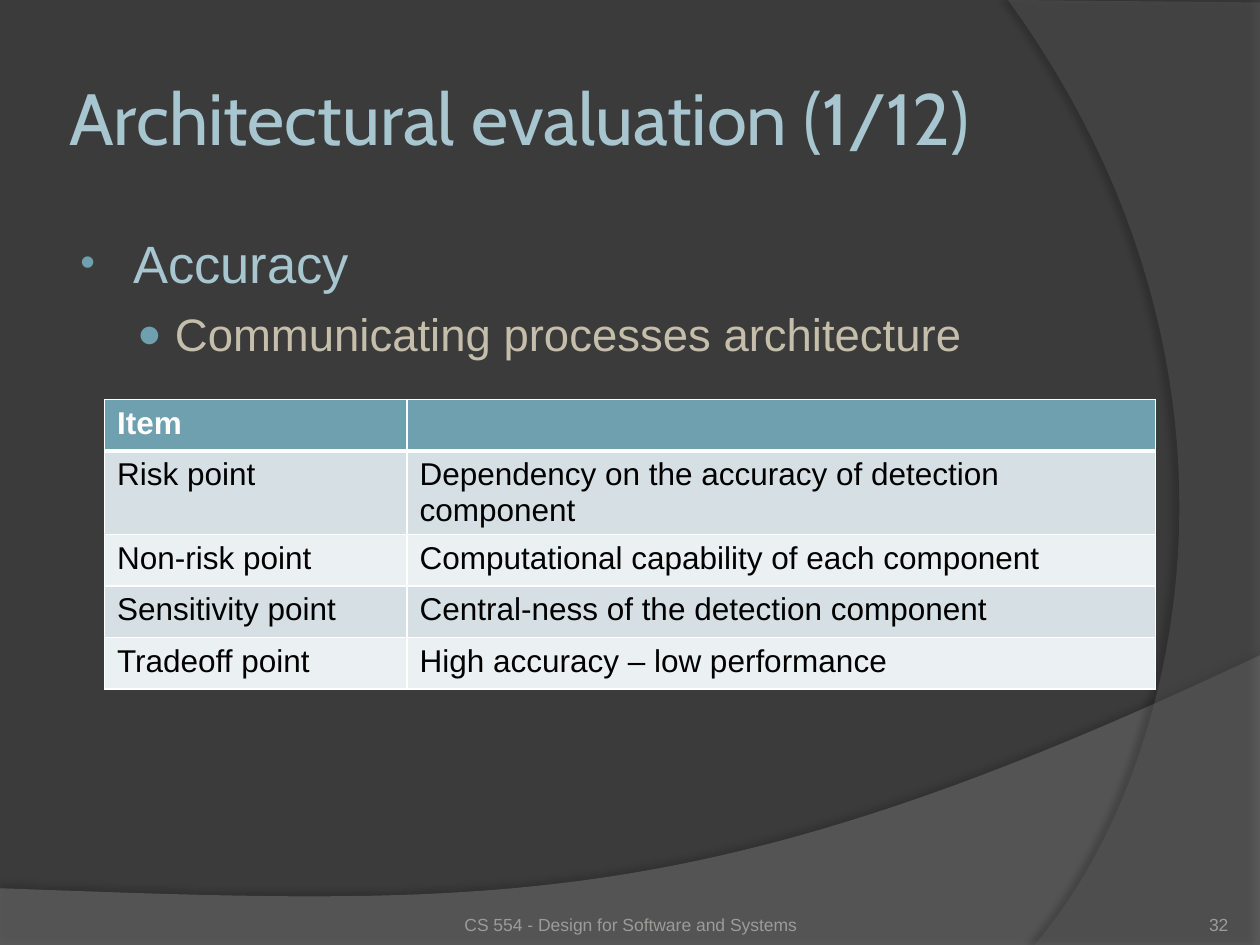
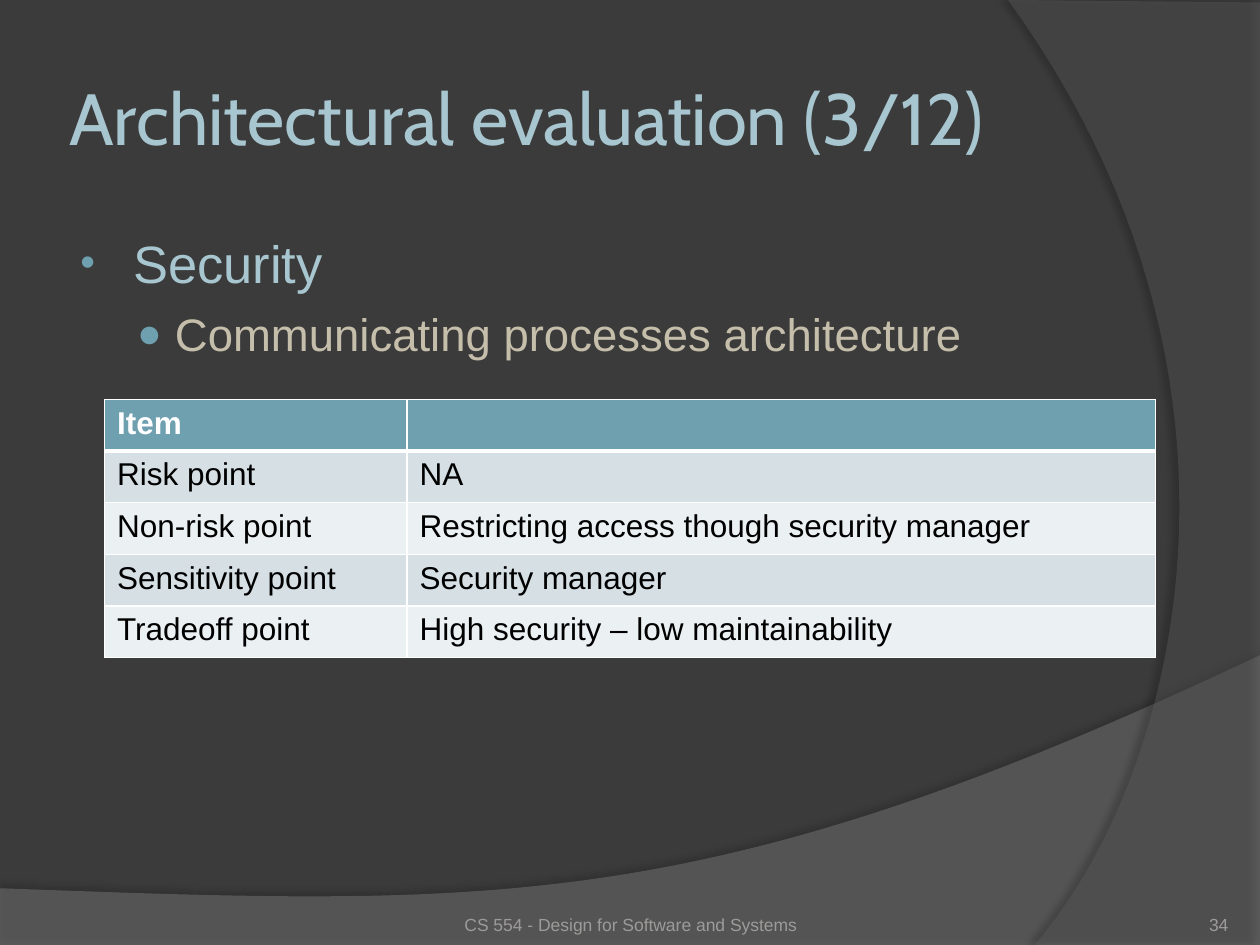
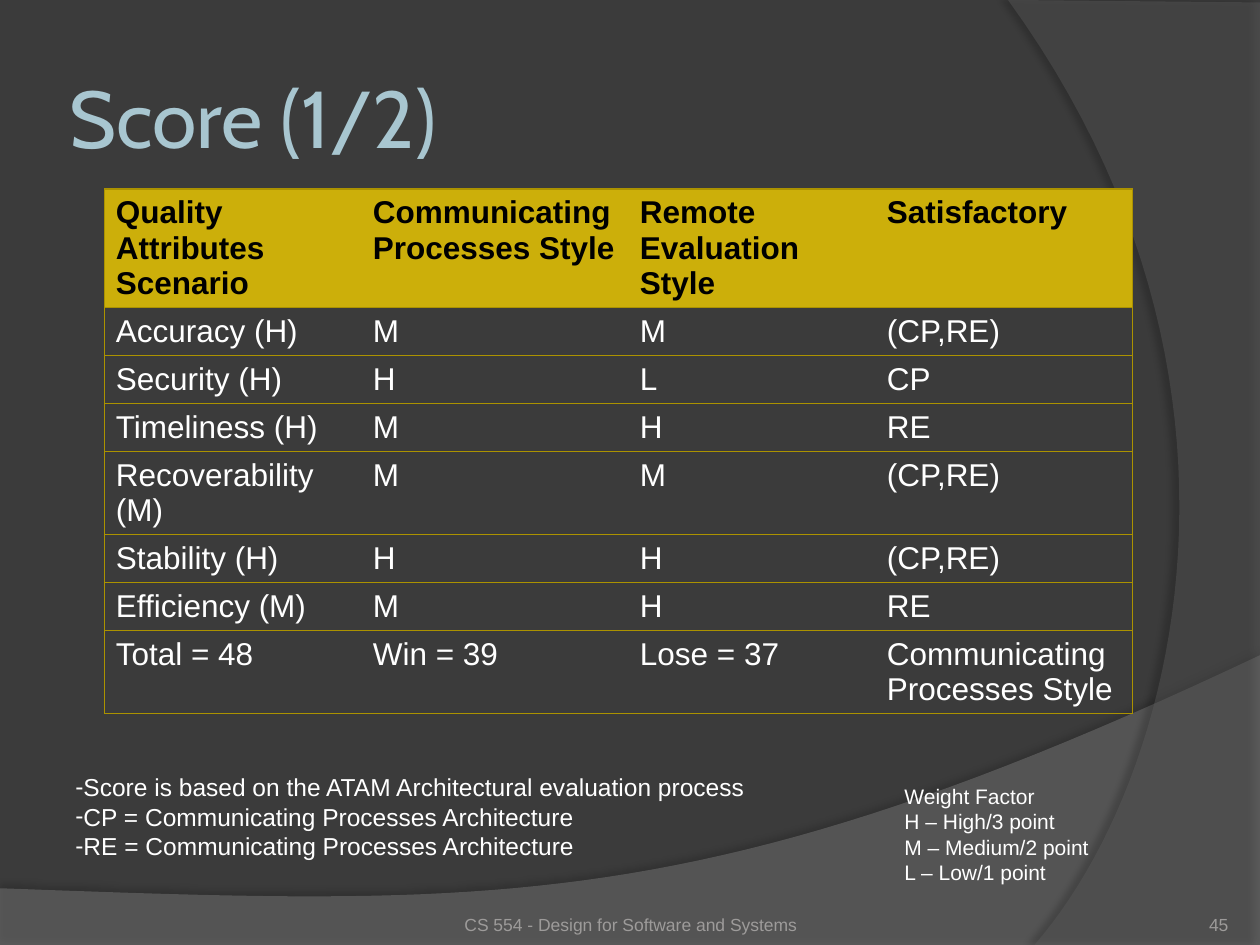
import pptx
import pptx.dml.color
import pptx.enum.text
import pptx.oxml
import pptx.oxml.ns
import pptx.util

Inches = pptx.util.Inches
Pt = pptx.util.Pt
ALIGN = pptx.enum.text.PP_ALIGN
ANCHOR = pptx.enum.text.MSO_ANCHOR
FIT = pptx.enum.text.MSO_AUTO_SIZE
NS = pptx.oxml.ns.nsdecls("a")

DARK, SKY, TEAL, SAND = "3B3B3B", "A8C6D0", "6EA0B0", "C5BEAB"
WHITE, BLACK, GRAY = "FFFFFF", "000000", "9D9B9A"
GOLD, OCHRE = "CCAF0A", "AB9200"
TINTS = ["D5DFE4", "EBF0F2"]
FOOTER = "CS 554 - Design for Software and Systems"


def rgb(code):
    return pptx.dml.color.RGBColor.from_string(code)


def xml(text):
    return pptx.oxml.parse_xml(text)


def bezier(a, b, c, d, steps=48):
    """Points after a on the cubic curve from a to d."""
    points = []
    for i in range(1, steps + 1):
        t = i / steps
        u = 1 - t
        points.append(tuple(
            u**3 * p + 3 * u * u * t * q + 3 * u * t * t * r + t**3 * s
            for p, q, r, s in zip(a, b, c, d)))
    return points


def tint(para, size, color, font="Arial", bold=False):
    for run in para.runs:
        run.font.size, run.font.name, run.font.bold = Pt(size), font, bold
        run.font.color.rgb = rgb(color)


def bullet(para, mark, left=0, hang=0, color=WHITE, scale=100):
    props = para._p.get_or_add_pPr()
    props.set("marL", str(Inches(left)))
    props.set("indent", str(-Inches(hang)))
    for part in (f'<a:buClr {NS}><a:srgbClr val="{color}"/></a:buClr>',
                 f'<a:buSzPct {NS} val="{scale * 1000}"/>',
                 f'<a:buFont {NS} typeface="Arial"/>',
                 f'<a:buChar {NS} char="{mark}"/>'):
        props.append(xml(part))


def border(cell, sides):
    """Set left, right, top and bottom lines, each (colour, width) or None."""
    props = cell._tc.get_or_add_tcPr()
    for i, (side, line) in enumerate(zip("LRTB", sides)):
        if line:
            color, width = line
            fill = f'<a:solidFill><a:srgbClr val="{color}"/></a:solidFill>'
        else:
            width, fill = 0, "<a:noFill/>"
        props.insert(i, xml(f'<a:ln{side} {NS} w="{Pt(width)}">{fill}</a:ln{side}>'))


class Deck:
    def __init__(self):
        self.show = pptx.Presentation()
        self.show.slide_width, self.show.slide_height = Inches(10), Inches(7.5)
        self.master = self.show.slide_master
        fill = self.master.background.fill
        fill.solid()
        fill.fore_color.rgb = rgb(DARK)
        self.slide = None

    def open(self, title, number, size=41.4):
        first = self.slide is None
        self.slide = self.show.slides.add_slide(self.show.slide_layouts[5])
        if first:
            self.waves()
        head = self.slide.shapes.title
        head.left, head.top = Inches(0.5), Inches(0.3)
        head.width, head.height = Inches(8.17), Inches(1.25)
        frame = self.frame(head, [title], ANCHOR.MIDDLE, [0.05] * 4)
        frame.paragraphs[0].alignment = ALIGN.LEFT
        tint(frame.paragraphs[0], size, SKY, "Cabin")
        self.foot(number)

    def waves(self):
        """Put the two curved bands on the master."""
        floor = [(0, 7.05), (0, 7.51), (10, 7.51), (10, 5.2)]
        floor += bezier((10, 5.2), (5.59, 7.29), (3.91, 7.19), (0, 7.05))
        side = [(10, 0.02), (10, 7.5), (8.21, 7.5)]
        side += bezier((8.21, 7.5), (9.35, 6.19), (10.18, 3), (8, 0))
        self.wave(floor, "7F7F7F", 45, (35, 4, 3.5, 270), 2)
        self.wave(side, "5E5E5E", 40, (45, 4, 4, 180), 3)

    def wave(self, points, color, alpha, shadow, place):
        spots = [(Inches(x), Inches(y)) for x, y in points]
        pen = self.slide.shapes.build_freeform(*spots[0])
        pen.add_line_segments(spots[1:])
        shape = pen.convert_to_shape()
        shape.line.fill.background()
        shape.fill.solid()
        shape.fill.fore_color.rgb = rgb(color)
        props = shape.element.spPr
        tone = props.find(".//" + pptx.oxml.ns.qn("a:srgbClr"))
        tone.append(xml(f'<a:alpha {NS} val="{alpha * 1000}"/>'))
        dark, blur, far, angle = shadow
        props.append(xml(
            f'<a:effectLst {NS}><a:outerShdw blurRad="{Pt(blur)}" '
            f'dist="{Pt(far)}" dir="{angle * 60000}" rotWithShape="0">'
            f'<a:srgbClr val="{BLACK}"><a:alpha val="{dark * 1000}"/></a:srgbClr>'
            '</a:outerShdw></a:effectLst>'))
        self.master.shapes.element.insert(place, shape.element)

    def frame(self, shape, lines, anchor, inset, wrap=True):
        frame = shape.text_frame
        frame.text = "\n".join(lines)
        frame.word_wrap, frame.auto_size = wrap, FIT.NONE
        frame.vertical_anchor = anchor
        (frame.margin_left, frame.margin_top, frame.margin_right,
         frame.margin_bottom) = [Inches(gap) for gap in inset]
        return frame

    def text(self, box, lines, size, color, anchor=ANCHOR.TOP,
             inset=(0.1, 0.05, 0.1, 0.05), align=ALIGN.LEFT, wrap=True):
        shape = self.slide.shapes.add_textbox(*[Inches(n) for n in box])
        frame = self.frame(shape, lines, anchor, inset, wrap)
        for para in frame.paragraphs:
            para.alignment = align
            tint(para, size, color)
        return frame.paragraphs

    def foot(self, number):
        self.text((8.92, 7.02, 0.83, 0.4), [str(number)], 10, GRAY,
                  ANCHOR.BOTTOM, [0] * 4, ALIGN.RIGHT)
        self.text((3.42, 7.02, 3.17, 0.4), [FOOTER], 10, GRAY,
                  ANCHOR.BOTTOM, (0, 0.05, 0, 0), ALIGN.CENTER)

    def points(self, topic, detail):
        top, sub = self.text((0.5, 1.75, 8.17, 4.95), [topic, detail], 30, SKY,
                             inset=(0.1, 0.08, 0.1, 0.05))
        sub.space_before = Pt(7)
        bullet(top, "•", 0.46, 0.42, TEAL, 80)
        bullet(sub, "●", 0.79, 0.3, TEAL, 90)
        tint(sub, 26, SAND)

    def table(self, top, widths, heights, rows, style, pad=0.1):
        """style(row, column) gives fill, text colour and the four borders."""
        table = self.slide.shapes.add_table(
            len(rows), len(widths), Inches(0.83), Inches(top),
            Inches(sum(widths)), Inches(sum(heights))).table
        table.first_row = table.horz_banding = False
        for column, width in zip(table.columns, widths):
            column.width = Inches(width)
        for r, (row, height) in enumerate(zip(rows, heights)):
            table.rows[r].height = Inches(height)
            for c, words in enumerate(row):
                cell = table.cell(r, c)
                fill, color, sides = style(r, c)
                cell.margin_left = cell.margin_right = Inches(pad)
                cell.text_frame.text = words
                tint(cell.text_frame.paragraphs[0], 18, color, bold=r == 0)
                if fill:
                    cell.fill.solid()
                    cell.fill.fore_color.rgb = rgb(fill)
                else:
                    cell.fill.background()
                border(cell, sides)

    def review(self, part, number, topic, answers, heights):
        self.open(f"Architectural evaluation ({part}/12)", number)
        self.points(topic, "Communicating processes architecture")
        items = ["Risk point", "Non-risk point", "Sensitivity point", "Tradeoff point"]
        self.table(3.17, [2.4, 5.94], heights,
                   [("Item", ""), *zip(items, answers)], banded)


def banded(r, c):
    thin, thick = (WHITE, 1), (WHITE, 3)
    if r == 0:
        return TEAL, WHITE, [thin, thin, thin, thick]
    return TINTS[(r - 1) % 2], BLACK, [thin, thin, thick if r == 1 else thin, thin]


def ruled(r, c):
    line = (OCHRE, 0.75)
    sides = [line if c == 0 else None, line if c == 3 else None, line, line]
    return (GOLD, BLACK, sides) if r == 0 else (None, WHITE, sides)


def main():
    deck = Deck()
    deck.review(1, 32, "Accuracy", [
        "Dependency on the accuracy of detection component",
        "Computational capability of each component",
        "Central-ness of the detection component",
        "High accuracy – low performance",
    ], [0.41, 0.66, 0.41, 0.41, 0.41])
    deck.review(3, 34, "Security", [
        "NA",
        "Restricting access though security manager",
        "Security manager",
        "High security – low maintainability",
    ], [0.41] * 5)

    deck.open("Score (1/2)", 45, 46)
    deck.table(1.5, [2.04, 2.12, 1.96, 2.04],
               [0.94, 0.38, 0.38, 0.38, 0.66, 0.38, 0.38, 0.66], [
        ("Quality Attributes\vScenario", "Communicating Processes Style",
         "Remote \vEvaluation Style", "Satisfactory"),
        ("Accuracy (H)", "M", "M", "(CP,RE)"),
        ("Security (H)", "H", "L", "CP"),
        ("Timeliness (H)", "M", "H", "RE"),
        ("Recoverability (M)", "M", "M", "(CP,RE)"),
        ("Stability (H)", "H", "H", "(CP,RE)"),
        ("Efficiency (M)", "M", "H", "RE"),
        ("Total = 48", "Win = 39", "Lose = 37", "Communicating Processes Style"),
    ], ruled, 0.09)
    deck.text((7.08, 6.17, 1.78, 0.91), [
        "Weight Factor", "H – High/3 point", "M – Medium/2 point", "L – Low/1 point",
    ], 12, WHITE)
    notes = deck.text((0.5, 6.08, 5.54, 0.81), [
        "Score is based on the ATAM Architectural evaluation process",
        "CP = Communicating Processes Architecture",
        "RE = Communicating Processes Architecture",
    ], 14, WHITE, wrap=False)
    for note in notes:
        bullet(note, "-")
    deck.show.save("out.pptx")


if __name__ == "__main__":
    main()
